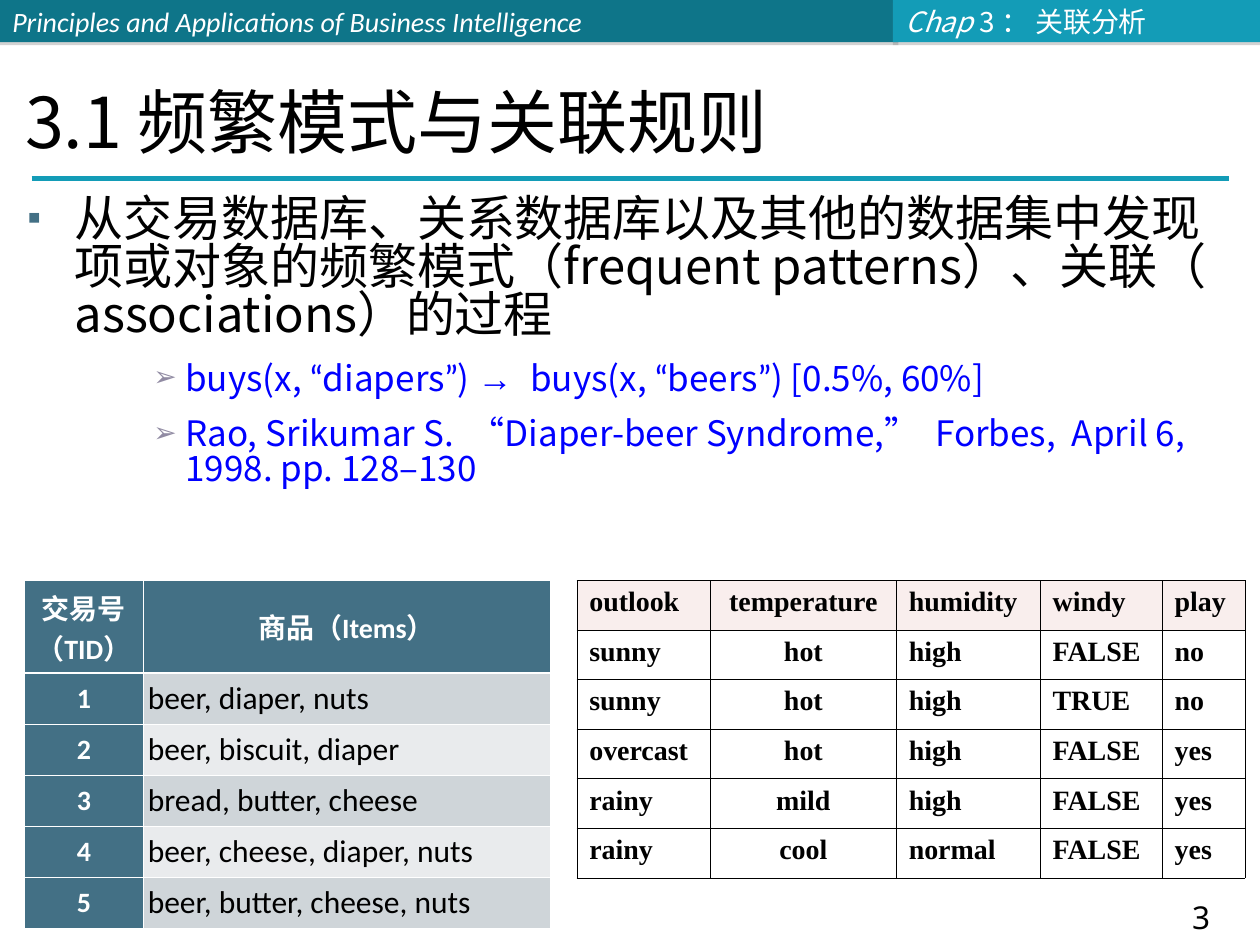
from lxml import etree
from pptx import Presentation
from pptx.dml.color import RGBColor
from pptx.enum.shapes import MSO_CONNECTOR, MSO_SHAPE
from pptx.enum.text import MSO_ANCHOR, MSO_AUTO_SIZE, PP_ALIGN
from pptx.oxml.ns import qn
from pptx.util import Cm, Pt

LEFT, CENTER = PP_ALIGN.LEFT, PP_ALIGN.CENTER
TOP, MIDDLE, BOTTOM = MSO_ANCHOR.TOP, MSO_ANCHOR.MIDDLE, MSO_ANCHOR.BOTTOM
CJK, LATO = "Noto Sans CJK SC", "Lato"
COLORS = {
    "teal": "0E7589", "cyan": "139CB7", "shadow": "808080",
    "white": "FFFFFF", "black": "000000", "blue": "0000FF",
    "slate": "437085", "mauve": "918BA3", "pink": "F9EEED",
    "band": "CFD5D9", "light": "E9EBED",
}


def rgb(name):
    return RGBColor.from_string(COLORS[name])


def sub(parent, tag, **attrs):
    return etree.SubElement(parent, qn(tag), attrs)


def add_run(p, text, font, size, color, bold=False, italic=False):
    r = p.add_run()
    r.text = text
    r.font.name, r.font.size = font, Pt(size)
    r.font.bold, r.font.italic = bold, italic
    r.font.color.rgb = rgb(color)
    if font == CJK:
        sub(r._r.get_or_add_rPr(), "a:ea", typeface=font)


def place(sp, box):
    sp.left, sp.top, sp.width, sp.height = [Cm(v) for v in box]


def add_bar(slide, box, color, runs):
    sp = slide.shapes.add_shape(MSO_SHAPE.RECTANGLE, *[Cm(v) for v in box])
    sp.fill.solid()
    sp.fill.fore_color.rgb = rgb(color)
    sp.line.fill.background()
    sp.shadow.inherit = False
    effects = sp._element.spPr.find(qn("a:effectLst"))
    shadow = sub(effects, "a:outerShdw", blurRad="0", dist=str(Pt(1.8)),
                 dir="5400000", algn="ctr", rotWithShape="0")
    tint = sub(shadow, "a:srgbClr", val=COLORS["shadow"])
    sub(tint, "a:alpha", val="35000")
    tf = sp.text_frame
    tf.word_wrap, tf.vertical_anchor = True, MIDDLE
    p = tf.paragraphs[0]
    p.alignment = LEFT
    for text, font, italic in runs:
        add_run(p, text, font, 16, "white", italic=italic)


def add_header(slide, box):
    x, y, w, h = box
    split = 18
    add_bar(slide, (x, y, split + 0.11, h), "teal",
            [("Principles and Applications of Business Intelligence", "Calibri", True)])
    add_bar(slide, (x + split, y, w - split, h), "cyan",
            [("Chap ", CJK, True), ("3 ： 关联分析", CJK, False)])


def add_title(slide, box):
    sp = slide.shapes.title
    place(sp, box)
    tf = sp.text_frame
    tf.auto_size, tf.vertical_anchor = MSO_AUTO_SIZE.NONE, BOTTOM
    p = tf.paragraphs[0]
    p.alignment = LEFT
    add_run(p, "3.1 频繁模式与关联规则", CJK, 40, "black")


def add_rule(slide, x, y, w):
    line = slide.shapes.add_connector(MSO_CONNECTOR.STRAIGHT, Cm(x), Cm(y), Cm(x + w), Cm(y))
    line.line.color.rgb, line.line.width = rgb("cyan"), Pt(3)
    sub(line._element.spPr, "a:effectLst")


def set_bullet(p, char, color, margin, hanging):
    pPr = p._p.get_or_add_pPr()
    pPr.set("marL", str(Cm(margin)))
    pPr.set("indent", str(-Cm(hanging)))
    sub(sub(pPr, "a:buClr"), "a:srgbClr", val=COLORS[color])
    sub(pPr, "a:buSzPct", val="80000")
    sub(pPr, "a:buFont", typeface="Arial")
    sub(pPr, "a:buChar", char=char)


def add_body(slide, box):
    sp = slide.placeholders[1]
    place(sp, box)
    tf = sp.text_frame
    tf.auto_size, tf.vertical_anchor = MSO_AUTO_SIZE.NONE, TOP
    items = [
        (0, [("从交易数据库、关系数据库以及其他的数据集中发现项或对象的频繁模式"
              "（frequent patterns）、关联（ associations）的过程", CJK)]),
        (2, [("buys(x, ", CJK), ("“", LATO), ("diapers", CJK), ("”", LATO), (") ", CJK),
             ("→ ", "Arial"), (" buys(x, ", CJK), ("“", LATO), ("beers", CJK),
             ("”", LATO), (") [0.5%, 60%]", CJK)]),
        (2, [("Rao, Srikumar S.  “Diaper-beer Syndrome,”  Forbes,  April 6, "
              "1998. pp. 128–130", CJK)]),
    ]
    for i, (level, runs) in enumerate(items):
        p = tf.add_paragraph() if i else tf.paragraphs[0]
        p.level, p.alignment = level, LEFT
        p.line_spacing, p.space_before = 0.82, Pt(12 if i else 0)
        if level:
            set_bullet(p, "➢", "mauve", 3.18, 0.64)
        else:
            set_bullet(p, "▪", "slate", 0.95, 0.95)
        for text, font in runs:
            add_run(p, text, font, 20 if level else 28, "blue" if level else "black")


def add_grid(slide, box, rows, widths, heights, border, style):
    """Add a table; style(i, j) gives each cell's look."""
    frame = slide.shapes.add_table(len(rows), len(widths), *[Cm(v) for v in box])
    table = frame.table
    for column, width in zip(table.columns, widths):
        column.width = Cm(width)
    for i, texts in enumerate(rows):
        table.rows[i].height = Cm(heights[i])
        for j, text in enumerate(texts):
            font, size, color, bold, fill, align, anchor, margin = style(i, j)
            cell = table.cell(i, j)
            cell.margin_left = cell.margin_right = Cm(margin)
            cell.vertical_anchor = anchor
            tcPr = cell._tc.get_or_add_tcPr()
            for side in ("L", "R", "T", "B"):
                heavy = border == "white" and (i, side) in ((0, "B"), (1, "T"))
                ln = sub(tcPr, "a:ln" + side, w=str(Pt(1.5 if heavy else 0.45)))
                sub(sub(ln, "a:solidFill"), "a:srgbClr", val=COLORS[border])
            cell.fill.solid()
            cell.fill.fore_color.rgb = rgb(fill)
            p = cell.text_frame.paragraphs[0]
            p.alignment = align
            add_run(p, text, font, size, color, bold)


def add_transactions(slide, box):
    baskets = ["beer, diaper, nuts", "beer, biscuit, diaper", "bread, butter, cheese",
               "beer, cheese, diaper, nuts", "beer, butter, cheese, nuts"]
    rows = [("交易号（TID）", "商品（Items）")]
    rows += [(str(n), basket) for n, basket in enumerate(baskets, 1)]

    def style(i, j):
        if i == 0 or j == 0:
            return "Calibri", 16, "white", True, "slate", CENTER, MIDDLE, 0.03
        fill = "band" if i % 2 else "light"
        return "Calibri", 18, "black", False, fill, LEFT, MIDDLE, 0.1

    add_grid(slide, box, rows, [2.38, box[2] - 2.38], [1.87] + [1.03] * 5, "white", style)


def add_weather(slide, box):
    rows = [line.split() for line in (
        "outlook temperature humidity windy play",
        "sunny hot high FALSE no",
        "sunny hot high TRUE no",
        "overcast hot high FALSE yes",
        "rainy mild high FALSE yes",
        "rainy cool normal FALSE yes")]

    def style(i, j):
        return ("Times New Roman", 16, "black", True, "white" if i else "pink",
                CENTER if j == 1 else LEFT, TOP, 0.25)

    add_grid(slide, box, rows, [2.69, 3.75, 2.9, 2.46, 1.67],
             [box[3] / len(rows)] * len(rows), "black", style)


def add_page_number(slide, box):
    tf = slide.shapes.add_textbox(*[Cm(v) for v in box]).text_frame
    tf.word_wrap = True
    p = tf.paragraphs[0]
    p.alignment, p.line_spacing = CENTER, Pt(20)
    add_run(p, " 3", "Noto Sans", 18, "black")


def main():
    prs = Presentation()
    prs.slide_width, prs.slide_height = Cm(25.4), Cm(19.05)
    slide = prs.slides.add_slide(prs.slide_layouts[1])
    # Header, page number and title
    add_header(slide, (0, 0, 25.4, 0.85))
    add_page_number(slide, (22.86, 18.03, 2.54, 0.97))
    add_rule(slide, 0.64, 3.6, 24.13)
    add_title(slide, (0.25, 1.12, 25.1, 2.29))
    # Definition and examples
    add_body(slide, (0.3, 3.86, 24.43, 14.66))
    # Data tables
    add_weather(slide, (11.63, 11.7, 13.47, 6))
    add_transactions(slide, (0.5, 11.7, 10.59, 7.02))
    prs.save("out.pptx")


if __name__ == "__main__":
    main()
